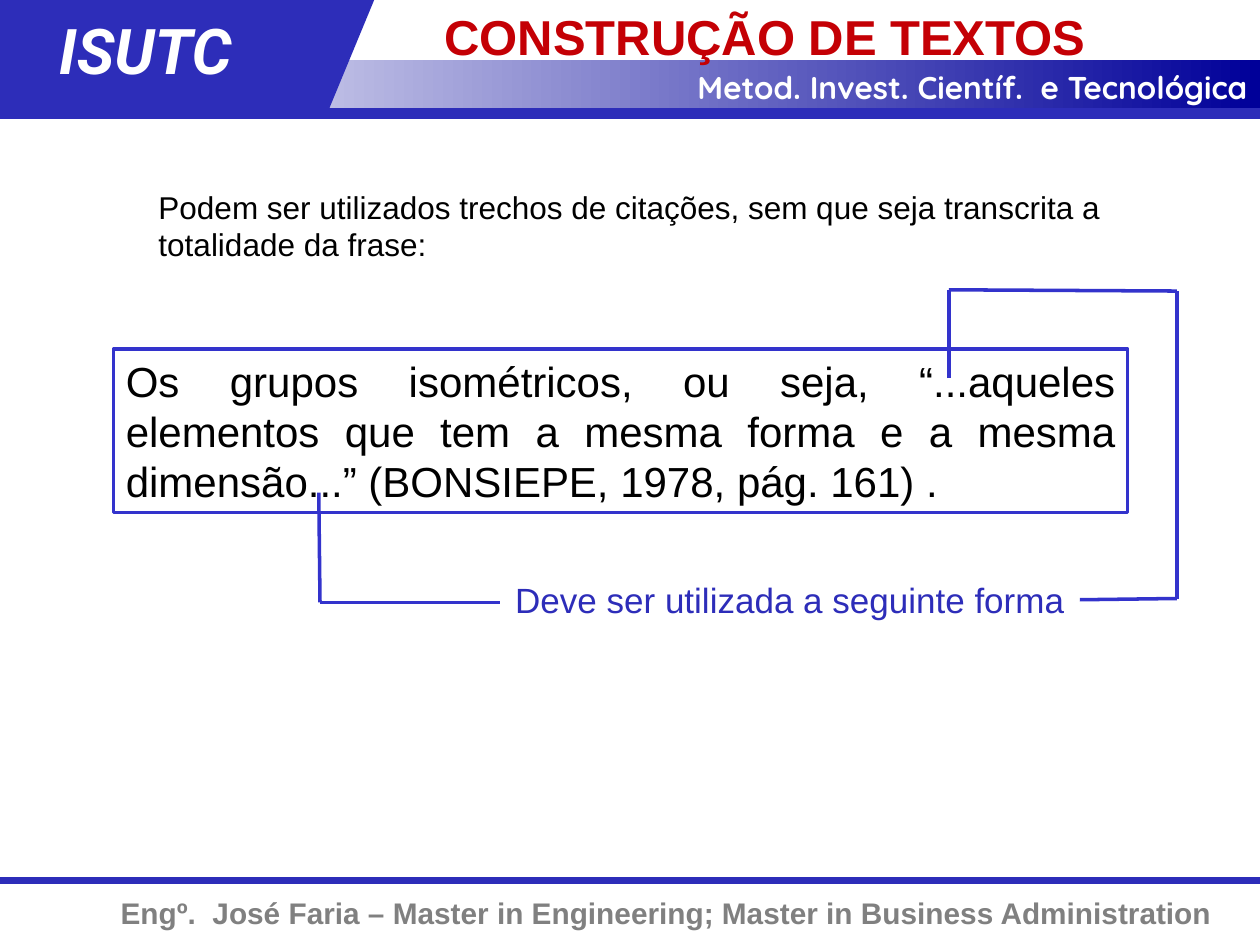
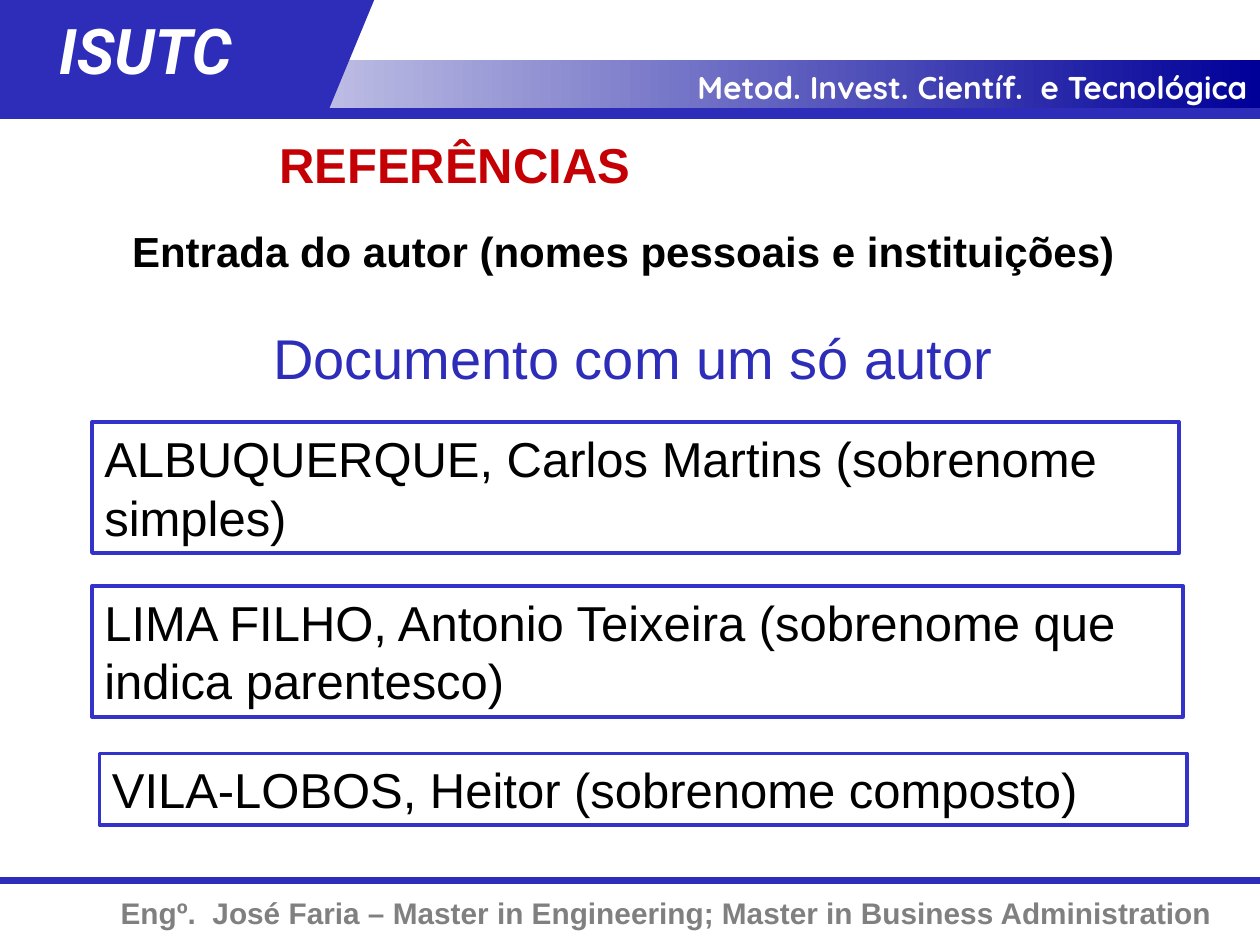
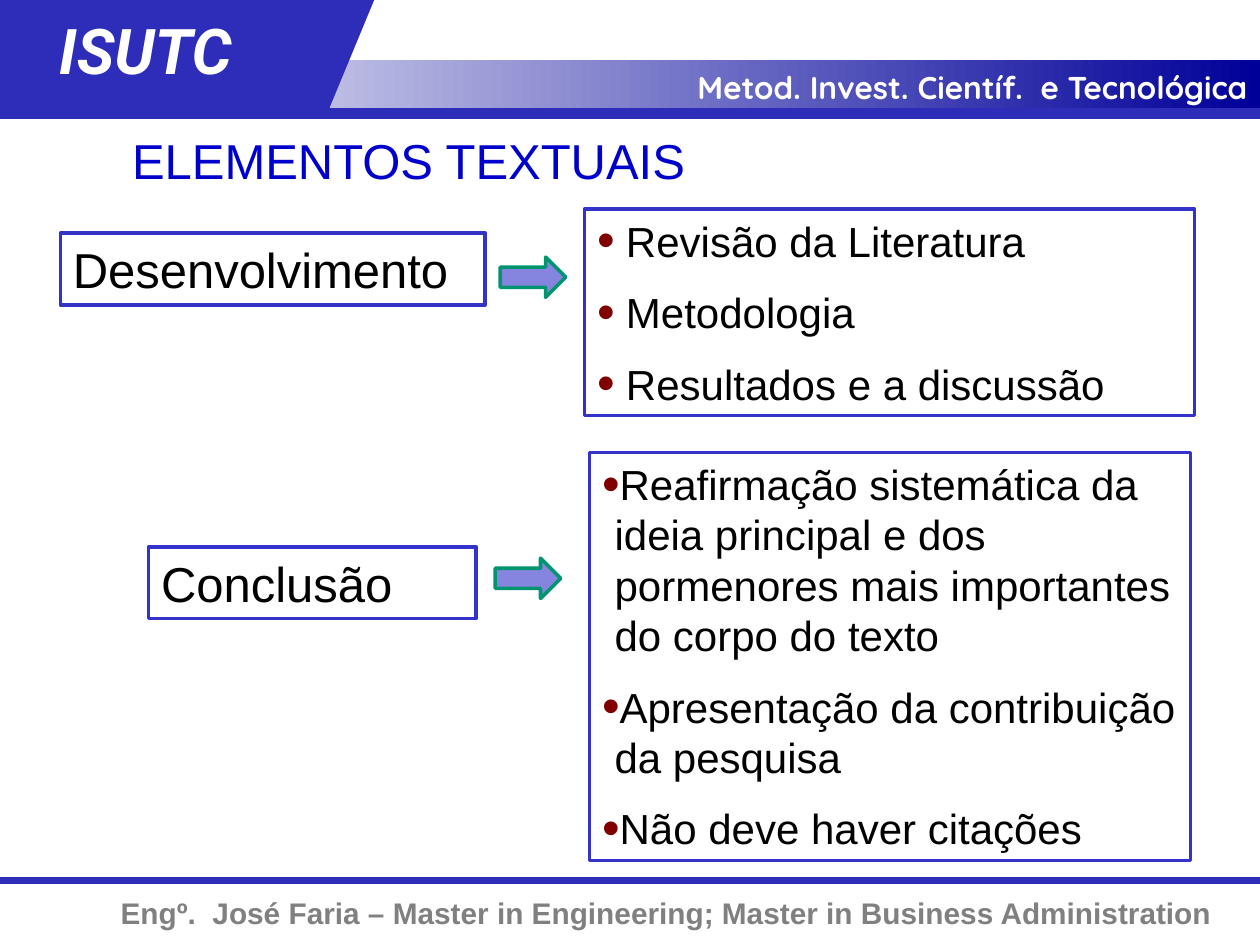
"""Build three slides on scientific writing with a shared header and footer."""
from itertools import pairwise

from lxml.etree import SubElement
from pptx import Presentation
from pptx.dml.color import RGBColor
from pptx.enum.shapes import MSO_CONNECTOR, MSO_SHAPE
from pptx.enum.text import MSO_ANCHOR, PP_ALIGN
from pptx.oxml.ns import qn
from pptx.util import Inches, Pt

BLUE = RGBColor(0x2D, 0x2D, 0xB9)
BORDER = RGBColor(0x33, 0x33, 0xCC)
NAVY = RGBColor(0x00, 0x00, 0x99)
HEADING = RGBColor(0x00, 0x00, 0xCC)
RED = RGBColor(0xC4, 0x00, 0x05)
MAROON = RGBColor(0x80, 0x00, 0x00)
GRAY = RGBColor(0x80, 0x80, 0x80)
LILAC = RGBColor(0x85, 0x85, 0xE0)
GREEN = RGBColor(0x00, 0x95, 0x6F)
BLACK = RGBColor(0, 0, 0)
WHITE = RGBColor(255, 255, 255)

PLAIN = {"name": "Arial", "bold": False, "italic": False}
BOLD = PLAIN | {"bold": True}
TITLE = BOLD | {"size": Pt(28)}
LOGOTYPE = {"name": "Roboto", "size": Pt(36), "bold": True, "italic": True}
COURSE = {"name": "Quicksand", "size": Pt(18), "bold": True}


def add_text(s, box, lines, font, color=BLACK, align=PP_ALIGN.LEFT,
             framed=False, hang=0, wrap=True):
    """Add a text box or a framed rectangle, with bullets when hang is set."""
    pos = [Inches(v) for v in box]
    if framed:
        sp = s.shapes.add_shape(MSO_SHAPE.RECTANGLE, *pos)
        sp.shadow.inherit = False
        sp.fill.solid()
        sp.fill.fore_color.rgb = WHITE
        sp.line.color.rgb = BORDER
        sp.line.width = Pt(2)
    else:
        sp = s.shapes.add_textbox(*pos)
    tf = sp.text_frame
    tf.word_wrap = wrap
    tf.vertical_anchor = MSO_ANCHOR.TOP
    tf.text = "\n".join(lines)
    for i, p in enumerate(tf.paragraphs):
        if hang:
            pPr = p._p.get_or_add_pPr()
            pPr.set("marL", str(Inches(hang)))
            pPr.set("indent", str(-Inches(hang)))
            clr = SubElement(pPr, qn("a:buClr"))
            SubElement(clr, qn("a:srgbClr"), val=str(MAROON))
            SubElement(pPr, qn("a:buSzPct"), val="120000")
            SubElement(pPr, qn("a:buFont"), typeface="Arial")
            SubElement(pPr, qn("a:buChar"), char="•")
            p.space_after = Pt(6)
            if i:
                p.space_before = Pt(6)
        p.alignment = align
        for r in p.runs:
            for key, value in font.items():
                setattr(r.font, key, value)
            r.font.color.rgb = color


def add_line(s, start, end, color, width):
    """Add a straight line between two points."""
    sp = s.shapes.add_connector(MSO_CONNECTOR.STRAIGHT,
                                *[Inches(v) for v in (*start, *end)])
    SubElement(sp._element.spPr, qn("a:effectLst"))
    sp.line.color.rgb = color
    sp.line.width = Pt(width)


prs = Presentation()
prs.slide_width, prs.slide_height = Inches(10), Inches(7.5)
slides = [prs.slides.add_slide(prs.slide_layouts[6]) for _ in range(3)]

for s in slides:
    add_line(s, (0, 6.99), (10, 6.99), BLUE, 4)
    add_text(s, (0, 7.05, 9.72, 0.39),
             ["Engº.  José Faria – Master in Engineering; Master in Business Administration"],
             BOLD | {"size": Pt(17)}, GRAY, PP_ALIGN.RIGHT)
    for kind, box in [(MSO_SHAPE.RECTANGLE, (0, 0.48, 10, 0.39)),
                      (MSO_SHAPE.FLOWCHART_DATA, (1.17, 0, 1.8, 0.87)),
                      (MSO_SHAPE.RECTANGLE, (0, 0, 1.59, 0.87))]:
        sp = s.shapes.add_shape(kind, *[Inches(v) for v in box])
        sp.shadow.inherit = False
        sp.line.fill.background()
        if box[2] == 10:
            sp.fill.gradient()
            sp.fill.gradient_angle = 0
            for stop, color in zip(sp.fill.gradient_stops, (WHITE, NAVY)):
                stop.color.rgb = color
        else:
            sp.fill.solid()
            sp.fill.fore_color.rgb = BLUE
    add_text(s, (4.36, 0.49, 5.64, 0.4), ["Metod. Invest. Científ.  e Tecnológica"],
             COURSE, WHITE, PP_ALIGN.RIGHT)
    add_text(s, (0.37, 0.04, 1.93, 0.7), ["ISUTC"], LOGOTYPE, WHITE)
    add_line(s, (0, 0.9), (10, 0.9), BLUE, 6)

citation, references, elements = slides

add_text(citation, (1.16, 1.44, 7.97, 0.7),
         ["Podem ser utilizados trechos de citações, sem que seja transcrita a "
          "totalidade da frase:"], PLAIN | {"size": Pt(18)})
add_text(citation, (0.9, 2.77, 8.05, 1.3),
         ["Os grupos isométricos, ou seja, “...aqueles elementos que tem a mesma forma "
          "e a mesma dimensão...” (BONSIEPE, 1978, pág. 161) ."],
         PLAIN | {"size": Pt(24)}, align=PP_ALIGN.JUSTIFY, framed=True)
add_text(citation, (3.99, 4.54, 4.56, 0.44), ["Deve ser utilizada a seguinte forma"],
         PLAIN | {"size": Pt(20)}, BLUE, wrap=False)
for route in [
    [(7.53, 3), (7.53, 2.3), (9.34, 2.31), (9.34, 4.75), (8.57, 4.76)],
    [(2.53, 3.91), (2.54, 4.78), (3.97, 4.78)],
]:
    for start, end in pairwise(route):
        add_line(citation, start, end, BORDER, 2)
add_text(citation, (3.43, 0, 6.57, 0.48), ["CONSTRUÇÃO DE TEXTOS"], TITLE, RED)

add_text(references, (2.12, 1.02, 6.57, 0.48), ["REFERÊNCIAS"], TITLE, RED)
add_text(references, (0.95, 1.74, 8.45, 0.5),
         ["Entrada do autor (nomes pessoais e instituições)"], BOLD | {"size": Pt(24)})
add_text(references, (2.07, 2.52, 6.16, 0.64), ["Documento com um só autor"],
         PLAIN | {"size": Pt(32)}, BLUE)
for box, author in [
    ((0.73, 3.35, 8.63, 1.04), "ALBUQUERQUE, Carlos Martins (sobrenome simples)"),
    ((0.73, 4.65, 8.66, 1.04),
     "LIMA FILHO, Antonio Teixeira (sobrenome que indica parentesco)"),
    ((0.79, 5.98, 8.63, 0.57), "VILA-LOBOS, Heitor (sobrenome composto)"),
]:
    add_text(references, box, [author], PLAIN | {"size": Pt(28)}, framed=True)

add_text(elements, (0.95, 0.99, 8.09, 0.57), ["ELEMENTOS TEXTUAIS"],
         PLAIN | {"size": Pt(28)}, HEADING)
for name, name_box, arrow_at, items, items_box, hang in [
    ("Desenvolvimento", (0.48, 1.85, 3.37, 0.57), (3.97, 2.04),
     ["Revisão da Literatura", "Metodologia", "Resultados e a discussão"],
     (4.64, 1.66, 4.84, 1.64), 0.23),
    ("Conclusão", (1.18, 4.34, 2.6, 0.57), (3.93, 4.43),
     ["Reafirmação sistemática da ideia principal e dos pormenores mais importantes "
      "do corpo do texto",
      "Apresentação da contribuição da pesquisa",
      "Não deve haver citações"],
     (4.68, 3.59, 4.77, 3.24), 0.1),
]:
    add_text(elements, items_box, items, PLAIN | {"size": Pt(24)}, framed=True, hang=hang)
    add_text(elements, name_box, [name], PLAIN | {"size": Pt(28)}, framed=True)
    sp = elements.shapes.add_shape(MSO_SHAPE.RIGHT_ARROW,
                                   *[Inches(v) for v in (*arrow_at, 0.52, 0.32)])
    sp.shadow.inherit = False
    sp.fill.solid()
    sp.fill.fore_color.rgb = LILAC
    sp.line.color.rgb = GREEN
    sp.line.width = Pt(2)

prs.save("out.pptx")
